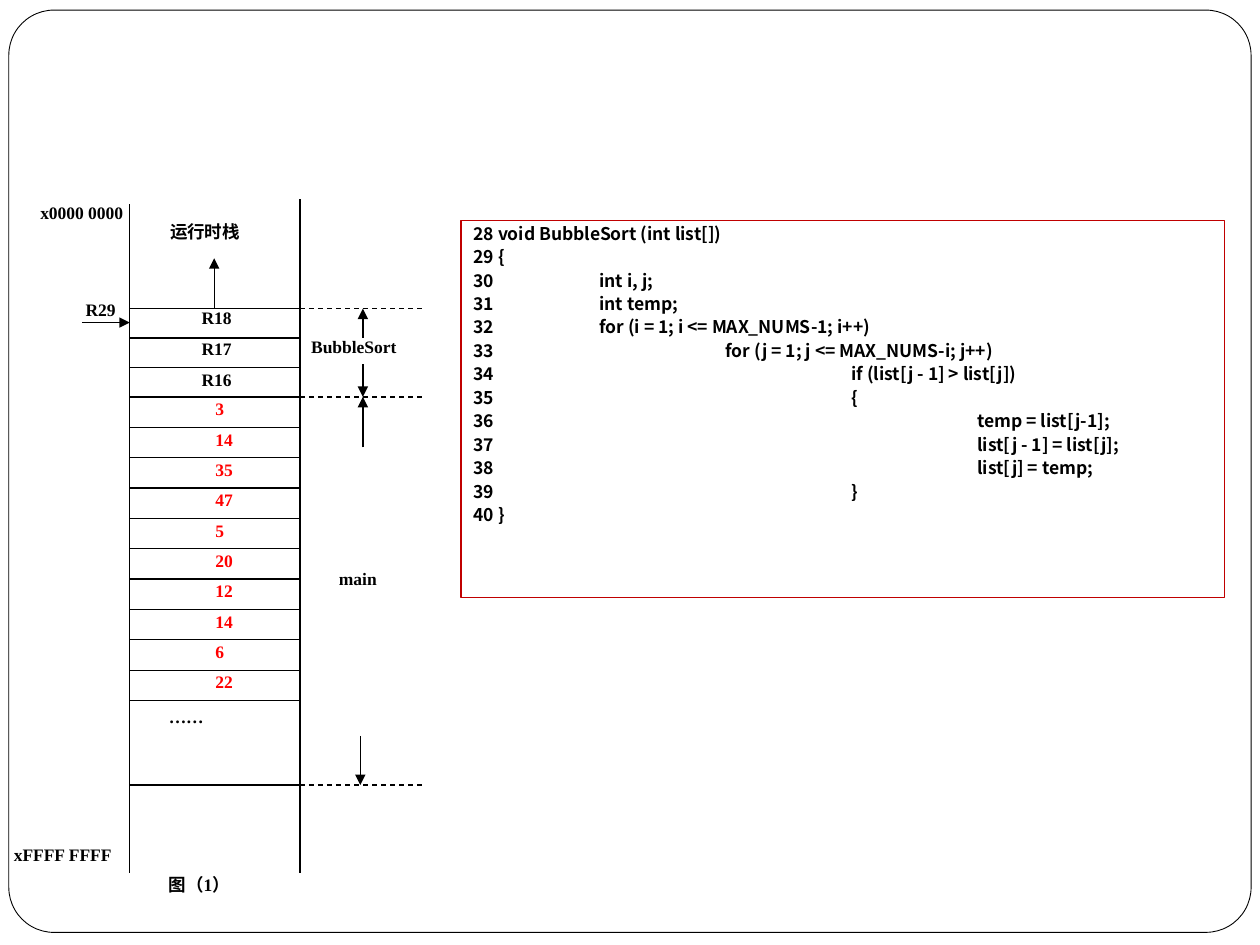
from lxml.etree import SubElement
from pptx import Presentation
from pptx.dml.color import RGBColor
from pptx.enum.dml import MSO_LINE
from pptx.enum.shapes import MSO_CONNECTOR, MSO_SHAPE
from pptx.enum.text import MSO_ANCHOR, PP_ALIGN
from pptx.oxml.ns import qn
from pptx.util import Inches, Pt

# Content
REGISTERS = ["R18", "R17", "R16"]
VALUES = ["3", "14", "35", "47", "5", "20", "12", "14", "6", "22"]
CODE = [
    "28 void BubbleSort (int list[])",
    "29 {",
    "30\tint i, j;",
    "31\tint temp;",
    "32\tfor (i = 1; i <= MAX_NUMS-1; i++)",
    "33\t\tfor (j = 1; j <= MAX_NUMS-i; j++)",
    "34\t\t\tif (list[j - 1] > list[j])",
    "35\t\t\t{",
    "36\t\t\t\ttemp = list[j-1];",
    "37\t\t\t\tlist[j - 1] = list[j];",
    "38\t\t\t\tlist[j] = temp;",
    "39\t\t\t}",
    "40 }",
]
BLACK, RED, DARK_RED, WHITE = "000000", "FF0000", "C00000", "FFFFFF"
SERIF = "Times New Roman"

# Stack geometry, in inches
LEFT, RIGHT = 1.03, 2.38
SORT_TOP, MAIN_TOP, VALUES_END, MAIN_END, STACK_END = 2.45, 3.15, 5.56, 6.23, 6.93
SPAN_X = 2.88
REGISTER_ROW = (MAIN_TOP - SORT_TOP) / len(REGISTERS)
VALUE_ROW = (VALUES_END - MAIN_TOP) / len(VALUES)

LABELS = [  # text, left, top, width, font
    ("x0000 0000", 0.30, 1.59, 0.87, SERIF),
    ("运行时栈", 1.33, 1.74, 0.82, "Calibri"),
    ("R29", 0.66, 2.36, 0.36, SERIF),
    ("BubbleSort", 2.45, 2.66, 1.03, SERIF),
    ("main", 2.67, 4.50, 0.48, SERIF),
    ("……", 1.32, 5.59, 0.44, SERIF),
    ("xFFFF FFFF", 0.09, 6.69, 0.93, SERIF),
    ("图（1）", 1.32, 6.93, 0.80, SERIF),
]
ARROWS = [  # from x, from y, to x, to y
    (0.65, 2.56, LEFT, 2.56),
    (1.70, SORT_TOP, 1.70, 2.05),
    (SPAN_X, 2.68, SPAN_X, SORT_TOP),
    (SPAN_X, 2.89, SPAN_X, MAIN_TOP),
    (SPAN_X, 3.55, SPAN_X, MAIN_TOP),
    (2.86, 5.84, 2.86, MAIN_END),
]

presentation = Presentation()
presentation.slide_width, presentation.slide_height = Inches(10), Inches(7.5)
slide = presentation.slides.add_slide(presentation.slide_layouts[6])


def color(value):
    return RGBColor.from_string(value)


def add_box(kind, left, top, width, height, line_color, line_width):
    shape = slide.shapes.add_shape(
        kind, Inches(left), Inches(top), Inches(width), Inches(height))
    shape.shadow.inherit = False
    shape.line.color.rgb = color(line_color)
    shape.line.width = Pt(line_width)
    return shape


def add_line(x1, y1, x2, y2, dashed=False, arrow=False):
    line = slide.shapes.add_connector(
        MSO_CONNECTOR.STRAIGHT, Inches(x1), Inches(y1), Inches(x2), Inches(y2))
    line.line.color.rgb = color(BLACK)
    line.line.width = Pt(0.75)
    if dashed:
        line.line.dash_style = MSO_LINE.DASH
    if arrow:
        SubElement(line.line._get_or_add_ln(), qn("a:tailEnd"), type="triangle")
    SubElement(line._element.spPr, qn("a:effectLst"))


def set_font(paragraph, name, font_color):
    font = paragraph.font
    font.name, font.size, font.bold = name, Pt(10), True
    font.color.rgb = color(font_color)


def add_label(text, left, top, width, name=SERIF, font_color=BLACK):
    frame = slide.shapes.add_textbox(
        Inches(left), Inches(top), Inches(width), Inches(0.25)).text_frame
    frame.word_wrap = True
    frame.margin_left = frame.margin_right = Inches(0.02)
    frame.margin_top = frame.margin_bottom = Inches(0.01)
    paragraph = frame.paragraphs[0]
    paragraph.text = text
    paragraph.alignment = PP_ALIGN.JUSTIFY
    set_font(paragraph, name, font_color)


# Slide frame
border = add_box(MSO_SHAPE.ROUNDED_RECTANGLE, 0.07, 0.08, 9.86, 7.32, BLACK, 0.5)
border.adjustments[0] = 0.049
border.fill.solid()
border.fill.fore_color.rgb = color(WHITE)

# Stack walls, row borders and dashed frame limits
add_line(LEFT, 1.62, LEFT, STACK_END)
add_line(RIGHT, 1.58, RIGHT, STACK_END)
row_borders = [SORT_TOP + i * REGISTER_ROW for i in range(len(REGISTERS))]
row_borders += [MAIN_TOP + i * VALUE_ROW for i in range(len(VALUES) + 1)]
for y in row_borders + [MAIN_END]:
    add_line(LEFT, y, RIGHT, y)
for y in (SORT_TOP, MAIN_TOP, MAIN_END):
    add_line(RIGHT, y, RIGHT + 1, y, dashed=True)

# Stack contents
for i, register in enumerate(REGISTERS):
    add_label(register, 1.58, SORT_TOP - 0.02 + i * (REGISTER_ROW + 0.01), 0.34)
for i, value in enumerate(VALUES):
    add_label(value, 1.69, MAIN_TOP + i * VALUE_ROW, 0.91, font_color=RED)

# Arrows and labels around the stack
for arrow in ARROWS:
    add_line(*arrow, arrow=True)
for label in LABELS:
    add_label(*label)

# Code listing
listing = add_box(MSO_SHAPE.RECTANGLE, 3.66, 1.75, 6.06, 2.99, DARK_RED, 0.75)
listing.fill.background()
frame = listing.text_frame
frame.word_wrap = True
frame.vertical_anchor = MSO_ANCHOR.TOP
for i, code_line in enumerate(CODE):
    paragraph = frame.add_paragraph() if i else frame.paragraphs[0]
    paragraph.text = code_line
    paragraph.alignment = PP_ALIGN.LEFT
    paragraph.line_spacing = 0.8
    paragraph.space_before = Pt(3.8 if i else 0)
    tabs = SubElement(paragraph._p.get_or_add_pPr(), qn("a:tabLst"))
    for stop in range(1, 5):
        SubElement(tabs, qn("a:tab"), pos=str(Inches(stop)), algn="l")
    set_font(paragraph, "Noto Sans CJK SC", BLACK)

presentation.save("out.pptx")
